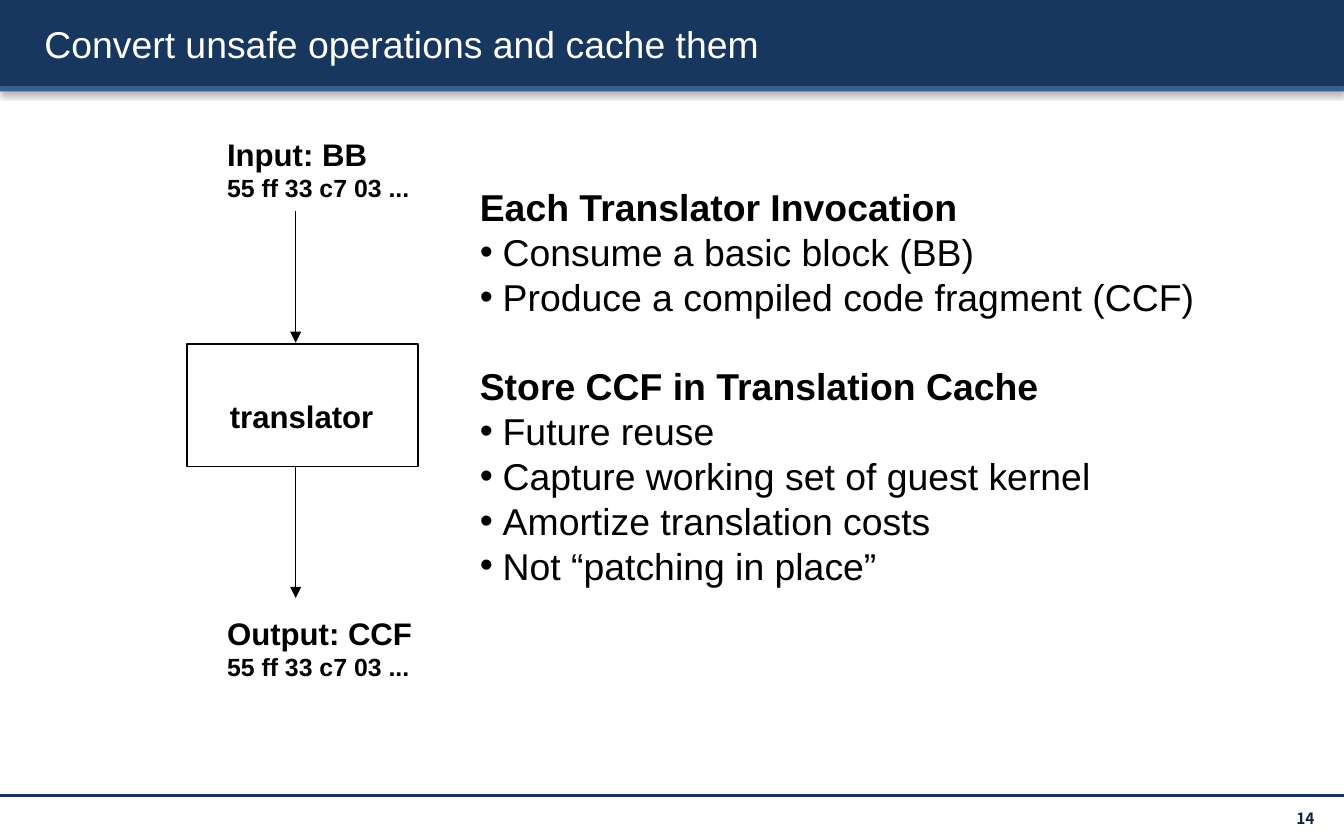
import pptx
import pptx.util
import pptx.dml.color
import pptx.enum.shapes
import pptx.enum.text
import pptx.oxml
import pptx.oxml.ns

Inches = pptx.util.Inches
Pt = pptx.util.Pt
ALIGN = pptx.enum.text.PP_ALIGN
ANCHOR = pptx.enum.text.MSO_ANCHOR

HUES = {
    "navy": "17375E",
    "blue": "376092",
    "page": "0F243E",
    "white": "FFFFFF",
    "black": "000000",
}

BODY = [
    ("Each Translator Invocation", [
        "Consume a basic block (BB)",
        "Produce a compiled code fragment (CCF)",
    ]),
    ("Store CCF in Translation Cache", [
        "Future reuse",
        "Capture working set of guest kernel",
        "Amortize translation costs",
        "Not “patching in place”",
    ]),
]


def hue(name):
    return pptx.dml.color.RGBColor.from_string(HUES[name])


def add_node(host, tag, **attrs):
    node = pptx.oxml.parse_xml(f"<a:{tag} {pptx.oxml.ns.nsdecls('a')}/>")
    for key, val in attrs.items():
        node.set(key, str(val))
    host.append(node)
    return node


def add_glow(host, blur, dist, angle, alpha):
    glow = add_node(add_node(host, "effectLst"), "outerShdw", blurRad=Pt(blur),
                    dist=Pt(dist), dir=angle * 60000, algn="tl", rotWithShape=0)
    tint = add_node(glow, "srgbClr", val=HUES["black"])
    add_node(tint, "alpha", val=alpha * 1000)


def style(para, size, name="black", bold=False, face="Arial"):
    font = para.font
    font.size = Pt(size)
    font.bold = bold
    font.name = face
    font.color.rgb = hue(name)


def place(shape, left, top, width, height):
    shape.left, shape.top = Inches(left), Inches(top)
    shape.width, shape.height = Inches(width), Inches(height)


def pad(frame, left, top, right, low):
    frame.margin_left, frame.margin_top = Inches(left), Inches(top)
    frame.margin_right, frame.margin_bottom = Inches(right), Inches(low)


def add_rect(slide, left, top, width, height):
    rect = slide.shapes.add_shape(
        pptx.enum.shapes.MSO_SHAPE.RECTANGLE,
        Inches(left), Inches(top), Inches(width), Inches(height))
    return rect


def add_bar(slide, top, height, name):
    bar = add_rect(slide, 0, top, 10, height)
    bar.fill.solid()
    bar.fill.fore_color.rgb = hue(name)
    bar.line.fill.background()
    add_glow(bar.element.spPr, 3.1, 1.6, 90, 38)


def add_line(slide, start, end, name, width, arrow=False):
    line = slide.shapes.add_connector(
        pptx.enum.shapes.MSO_CONNECTOR.STRAIGHT,
        *map(Inches, start), *map(Inches, end))
    line.line.color.rgb = hue(name)
    line.line.width = Pt(width)
    if arrow:
        add_node(line.line._get_or_add_ln(), "tailEnd", type="triangle")
    add_node(line.element.spPr, "effectLst")


def add_label(slide, left, top, width, height, lines, name="black",
              face="Arial", align=ALIGN.LEFT):
    box = slide.shapes.add_textbox(
        Inches(left), Inches(top), Inches(width), Inches(height))
    frame = box.text_frame
    frame.word_wrap = True
    pad(frame, 0.08, 0.04, 0.1, 0.04)
    frame.text = "\n".join(text for text, _ in lines)
    for para, (_, size) in zip(frame.paragraphs, lines):
        para.alignment = align
        style(para, size, name, True, face)


def add_box(slide):
    box = add_rect(slide, 1.39, 2.56, 1.72, 0.91)
    box.shadow.inherit = False
    box.fill.background()
    box.line.color.rgb = hue("black")
    box.line.width = Pt(0.75)
    frame = box.text_frame
    frame.vertical_anchor = ANCHOR.TOP
    pad(frame, 0.32, 0.4, 0, 0)
    para = frame.paragraphs[0]
    para.text = "translator"
    para.alignment = ALIGN.LEFT
    style(para, 16.7, bold=True)


def set_title(slide, text):
    title = slide.shapes.title
    place(title, 0.23, 0.06, 9.61, 0.53)
    frame = title.text_frame
    frame.auto_size = pptx.enum.text.MSO_AUTO_SIZE.NONE
    frame.vertical_anchor = ANCHOR.MIDDLE
    para = frame.paragraphs[0]
    para.text = text
    para.alignment = ALIGN.LEFT
    style(para, 20, "white")
    add_glow(para.runs[0].font._element, 3, 2, 45, 100)
    title.element.getparent().append(title.element)


def add_item(frame, text, head, gap):
    first = not frame.text
    para = frame.paragraphs[0] if first else frame.add_paragraph()
    para.text = text
    para.line_spacing = Pt(24)
    para.space_before = Pt(gap)
    para.space_after = Pt(0)
    props = para._p.get_or_add_pPr()
    dent = Inches(0 if head else 0.17)
    props.set("marL", str(dent))
    props.set("indent", str(-dent))
    if head:
        add_node(props, "buNone")
    else:
        add_node(props, "buFont", typeface="Arial")
        add_node(props, "buChar", char="•")
    style(para, 20, bold=head)


def fill_body(slide):
    body = slide.placeholders[1]
    place(body, 3.47, 1.32, 5.9, 3.13)
    frame = body.text_frame
    frame.auto_size = pptx.enum.text.MSO_AUTO_SIZE.NONE
    frame.vertical_anchor = ANCHOR.TOP
    for rank, (head, items) in enumerate(BODY):
        add_item(frame, head, True, 24 if rank else 0)
        for item in items:
            add_item(frame, item, False, 0)


def main():
    deck = pptx.Presentation()
    deck.slide_width, deck.slide_height = Inches(10), Inches(6.25)
    slide = deck.slides.add_slide(deck.slide_layouts[1])
    add_bar(slide, 0, 0.64, "navy")
    add_bar(slide, 0.64, 0.04, "blue")
    add_line(slide, (0, 5.92), (10, 5.92), "navy", 2)
    set_title(slide, "Convert unsafe operations and cache them")
    add_label(slide, 8.71, 5.98, 1.17, 0.26, [("14", 8.3)], "page",
              "Noto Sans CJK KR", ALIGN.RIGHT)
    fill_body(slide)
    for top, head in ((0.97, "Input: BB"), (4.53, "Output: CCF")):
        add_label(slide, 1.61, top, 1.79, 0.56,
                  [(head, 16.7), ("55 ff 33 c7 03 ...", 13.3)])
    add_box(slide)
    for top in (1.57, 3.47):
        add_line(slide, (2.2, top), (2.2, top + 0.98), "black", 0.75, True)
    deck.save("out.pptx")


if __name__ == "__main__":
    main()
